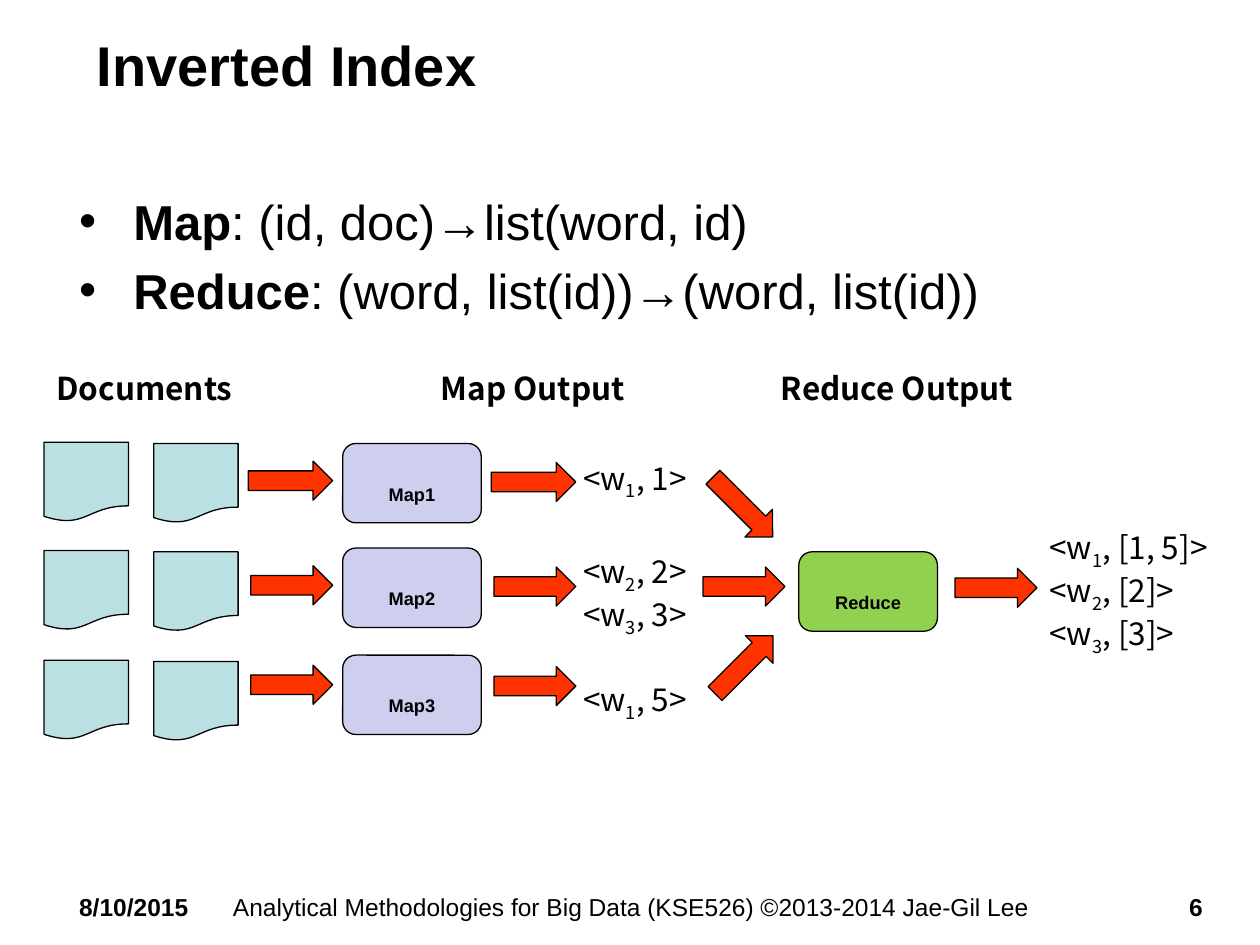
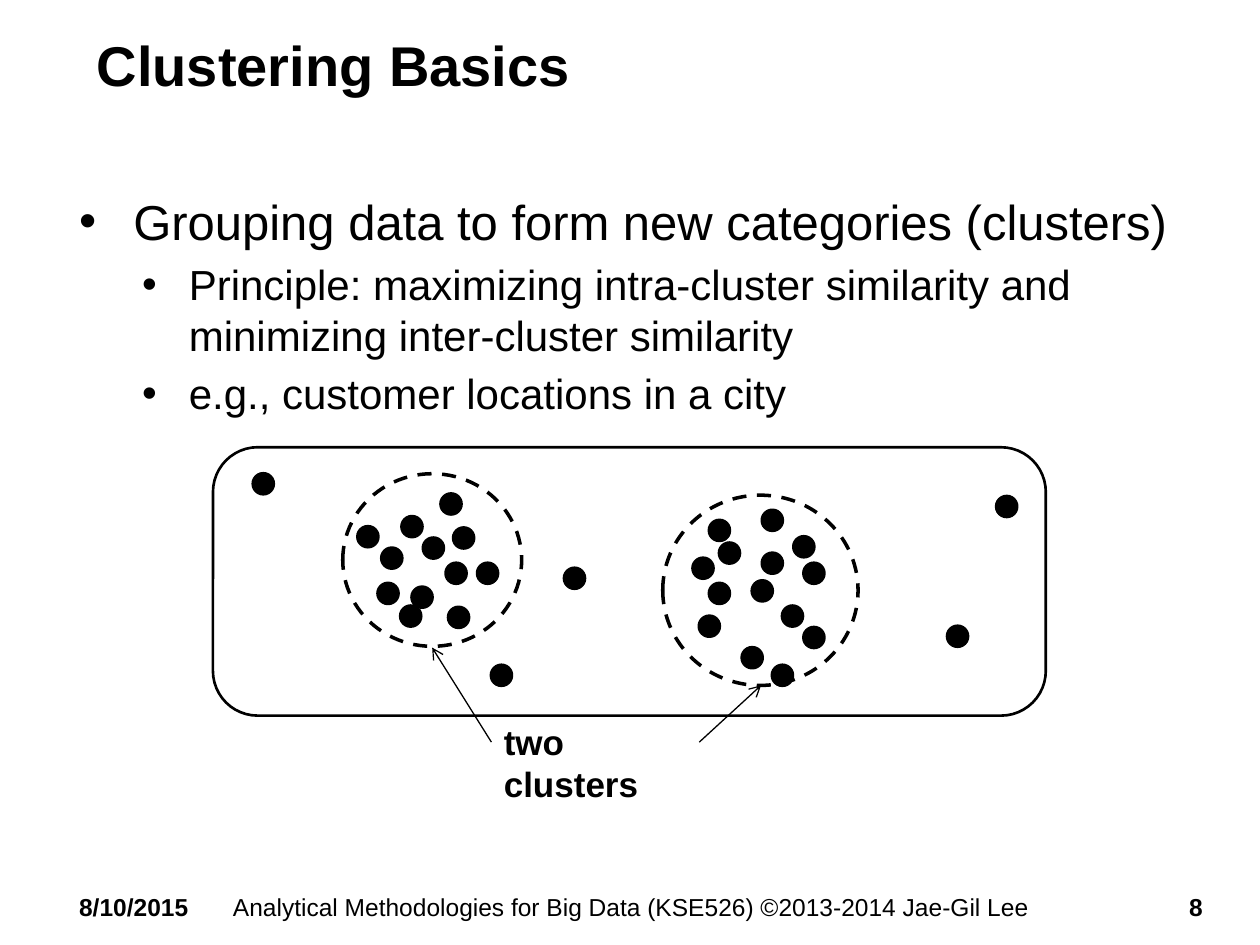
from lxml import etree
from pptx import Presentation
from pptx import util as u
from pptx.dml.color import RGBColor
from pptx.enum import dml, shapes, text
from pptx.oxml.ns import qn

BLACK = RGBColor(0x00, 0x00, 0x00)
ARROW_RED = RGBColor(0xFF, 0x33, 0x00)
DOC_BLUE = RGBColor(0xBB, 0xE0, 0xE3)
MAP_LILAC = RGBColor(0xCE, 0xCE, 0xEF)
REDUCE_GREEN = RGBColor(0x92, 0xD0, 0x50)
SANS, CJK, SERIF = "Arial", "Noto Sans CJK KR", "Times New Roman"
ST = shapes.MSO_SHAPE
DOT = 0.16
BULLETS = {0: (28, 0.43, -0.43), 1: (24, 0.87, -0.37)}
FOOTER = "Analytical Methodologies for Big Data (KSE526) ©2013-2014 Jae-Gil Lee"


def add_run(p, content, size=18, font=SANS, bold=False, base=0):
    """Append one formatted run to a paragraph."""
    r = p.add_run()
    r.text = content
    r.font.size, r.font.name, r.font.bold = u.Pt(size), font, bold
    r.font.color.rgb = BLACK
    if base:
        r.font._element.set("baseline", str(base * 1000))


class Deck:
    """Holds the shared style and the current slide."""

    def __init__(self):
        self.prs = Presentation()
        self.prs.slide_width, self.prs.slide_height = u.Inches(10), u.Inches(7.5)
        self.slide = None

    def new_slide(self, title, number):
        """Start a slide with its title and footer."""
        self.slide = self.prs.slides.add_slide(self.prs.slide_layouts[6])
        self.label(0.53, 7.03, 1.33, 0.34, "8/10/2015", size=14, bold=True)
        self.label(9.34, 7.03, 0.54, 0.34, str(number), size=14, bold=True)
        tf = self.label(1.74, 7.03, 6.54, 0.34, FOOTER, size=14)
        tf.paragraphs[0].alignment = text.PP_ALIGN.CENTER
        tf = self.label(0.67, 0.19, 8.68, 0.63, title, size=32, bold=True)
        tf.vertical_anchor = text.MSO_ANCHOR.MIDDLE

    def frame(self, x, y, w, h):
        """Add an empty wrapping text box."""
        box = self.slide.shapes.add_textbox(*map(u.Inches, (x, y, w, h)))
        box.text_frame.word_wrap = True
        return box.text_frame

    def label(self, x, y, w, h, content, **fmt):
        """Add a text box with one run."""
        tf = self.frame(x, y, w, h)
        add_run(tf.paragraphs[0], content, **fmt)
        return tf

    def bullets(self, items):
        """Add the body list from (level, runs) items."""
        tf = self.frame(0.53, 1.47, 9.15, 5.51)
        for i, (level, runs) in enumerate(items):
            p = tf.add_paragraph() if i else tf.paragraphs[0]
            size, margin, indent = BULLETS[level]
            pPr = p._p.get_or_add_pPr()
            pPr.set("marL", str(u.Inches(margin)))
            pPr.set("indent", str(u.Inches(indent)))
            p.level = level
            before = etree.SubElement(pPr, qn("a:spcBef"))
            etree.SubElement(before, qn("a:spcPct")).set("val", "20000")
            etree.SubElement(pPr, qn("a:buFont")).set("typeface", SANS)
            etree.SubElement(pPr, qn("a:buChar")).set("char", "•")
            for content, fmt in runs:
                add_run(p, content, size=size, **fmt)

    def pairs(self, x, y, w, h, rows):
        """Add lines such as <w1, 1> from (index, value, gap) rows."""
        tf = self.frame(x, y, w, h)
        for i, (index, value, gap) in enumerate(rows):
            p = tf.add_paragraph() if i else tf.paragraphs[0]
            p.space_before = u.Pt(gap)
            add_run(p, "<w", font=CJK)
            add_run(p, str(index), font=CJK, base=-25)
            add_run(p, f", {value}>", font=CJK)

    def shape(self, kind, x, y, w, h, fill=None, width=0.75, dash=None, rotation=0):
        """Add a preset shape with a black outline."""
        sp = self.slide.shapes.add_shape(kind, *map(u.Inches, (x, y, w, h)))
        sp.shadow.inherit = False
        if fill is None:
            sp.fill.background()
        else:
            sp.fill.solid()
            sp.fill.fore_color.rgb = fill
        sp.line.color.rgb = BLACK
        sp.line.width = u.Pt(width)
        if dash:
            sp.line.dash_style = dash
        sp.rotation = rotation
        return sp

    def step(self, x, y, name, fill):
        """Add a rounded box naming a processing step."""
        tf = self.shape(ST.ROUNDED_RECTANGLE, x, y, 1.1, 0.63, fill).text_frame
        tf.margin_left = tf.margin_right = tf.margin_top = tf.margin_bottom = 0
        tf.vertical_anchor = text.MSO_ANCHOR.MIDDLE
        p = tf.paragraphs[0]
        p.alignment = text.PP_ALIGN.CENTER
        add_run(p, name, bold=True, base=-25)

    def block_arrow(self, x, y, w=0.65, rotation=0):
        """Add a red block arrow."""
        self.shape(ST.RIGHT_ARROW, x, y, w, 0.31, ARROW_RED, rotation=rotation)

    def dots(self, places):
        """Add one black data point per place."""
        for x, y in places:
            self.shape(ST.OVAL, x, y, DOT, DOT, BLACK, width=2)

    def pointer(self, x1, y1, x2, y2):
        """Add a thin line with an open arrowhead at its end."""
        c = self.slide.shapes.add_connector(
            shapes.MSO_CONNECTOR.STRAIGHT, *map(u.Inches, (x1, y1, x2, y2)))
        c.line.color.rgb = BLACK
        c.line.width = u.Pt(0.75)
        etree.SubElement(c.line._get_or_add_ln(), qn("a:tailEnd")).set("type", "arrow")
        etree.SubElement(c._element.spPr, qn("a:effectLst"))


def inverted_index(deck):
    """Build the map and reduce flow."""
    deck.new_slide("Inverted Index", 6)
    bold, arrow = {"bold": True}, ("→", {"font": SERIF})
    deck.bullets([
        (0, [("Map", bold), (": (id, doc)", {}), arrow, ("list(word, id)", {})]),
        (0, [("Reduce", bold), (": (word, list(id))", {}), arrow,
             ("(word, list(id))", {})]),
    ])
    for x, heading in ((0.35, "Documents"), (3.4, "Map Output"), (6.1, "Reduce Output")):
        deck.label(x, 2.88, 2.6, 0.4, heading, font=CJK, bold=True)

    rows = zip((3.51, 4.37, 5.24), (3.52, 4.35, 5.2), (3.66, 4.49, 5.28))
    for i, (doc_y, map_y, arrow_y) in enumerate(rows, 1):
        for col in range(2):
            deck.shape(ST.FLOWCHART_DOCUMENT, 0.35 + 0.87 * col, doc_y + 0.01 * col,
                       0.67, 0.63, DOC_BLUE)
        deck.step(2.72, map_y, f"Map{i}", MAP_LILAC)
        width = 0.67 if i == 1 else 0.65
        deck.block_arrow(2.64 - width, arrow_y, width)
        deck.block_arrow(4.57 - width, arrow_y + 0.01, width)

    deck.pairs(4.53, 3.59, 1.18, 2.12, [(1, 1, 0), (2, 2, 29), (3, 3, 0), (1, 5, 24)])
    deck.block_arrow(5.56, 3.87, 0.67, rotation=45)
    deck.block_arrow(5.58, 4.5)
    deck.block_arrow(5.58, 5.12, rotation=315)
    deck.step(6.34, 4.38, "Reduce", REDUCE_GREEN)
    deck.block_arrow(7.58, 4.51)
    deck.pairs(8.23, 4.14, 1.65, 1.01, [(1, "[1, 5]", 0), (2, "[2]", 0), (3, "[3]", 0)])


def clustering_basics(deck):
    """Build the scatter of customers with two clusters."""
    deck.new_slide("Clustering Basics", 8)
    deck.bullets([
        (0, [("Grouping data to form new categories (clusters)", {})]),
        (1, [("Principle: maximizing intra-cluster similarity and "
              "minimizing inter-cluster similarity", {})]),
        (1, [("e.g., customer locations in a city", {})]),
    ])
    left_cluster = [
        (3.19, 4.1), (3.36, 4.27), (3.03, 4.35), (3.27, 4.66), (3.54, 4.47), (3.6, 4.19),
        (2.84, 4.18), (3, 4.63), (3.56, 4.82), (3.18, 4.81), (3.79, 4.47), (3.5, 3.92)]
    right_cluster = [
        (5.63, 4.13), (5.63, 4.63), (5.71, 4.31), (6.05, 4.05), (6.05, 4.39),
        (6.21, 4.81), (6.38, 4.98), (5.55, 4.89), (5.89, 5.14), (6.38, 4.47),
        (5.97, 4.61), (5.5, 4.43), (6.13, 5.28), (6.3, 4.26)]
    outliers = [(2.01, 3.76), (4.48, 4.51), (3.9, 5.28), (7.91, 3.94), (7.52, 4.97)]
    deck.dots(left_cluster + right_cluster + outliers)
    for ring in ((2.72, 3.76, 1.42, 1.37), (5.26, 3.93, 1.55, 1.51)):
        deck.shape(ST.OVAL, *ring, width=2, dash=dml.MSO_LINE.DASH)
    deck.label(3.9, 5.67, 1.65, 0.44, "two clusters", size=20, bold=True)
    deck.pointer(3.9, 5.89, 3.43, 5.14)
    deck.pointer(5.55, 5.89, 6.04, 5.44)
    deck.shape(ST.ROUNDED_RECTANGLE, 1.69, 3.55, 6.61, 2.13, width=1.5)


def main():
    """Build both slides and save them."""
    deck = Deck()
    inverted_index(deck)
    clustering_basics(deck)
    deck.prs.save("out.pptx")


if __name__ == "__main__":
    main()
